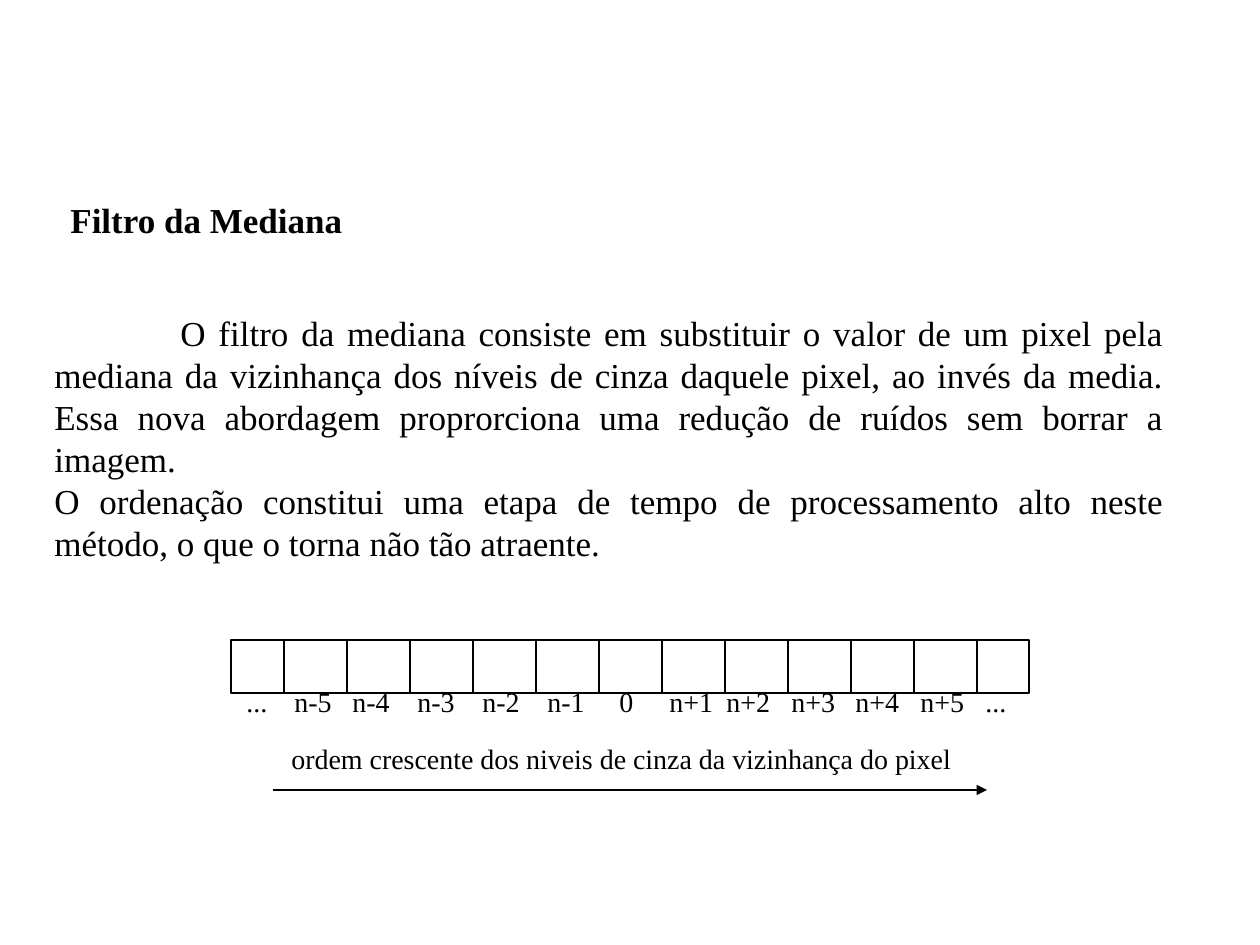
from lxml import etree
from pptx import Presentation
from pptx import util as u
from pptx.dml.color import RGBColor
from pptx.enum import shapes, text
from pptx.oxml.ns import qn

PX = 914400 / 126  # EMU in one px
FONT = "Times New Roman"
INK = "000000"


def px(length):
    return u.Emu(round(length * PX))


def color(value):
    return RGBColor.from_string(value)


class Painter:
    """Holds the style and the current page."""

    def __init__(self, page):
        self.page = page

    def text(self, left, top, width, height, lines, size, bold=False,
             wrap=True, align=text.PP_ALIGN.LEFT):
        box = self.page.shapes.add_textbox(px(left), px(top), px(width), px(height))
        frame = box.text_frame
        frame.word_wrap = wrap
        frame.text = "\n".join(lines)
        for para in frame.paragraphs:
            para.alignment = align
            for span in para.runs:
                span.font.name = FONT
                span.font.size = u.Pt(size)
                span.font.bold = bold
                span.font.color.rgb = color(INK)
        return frame.paragraphs

    def indent(self, para, width):
        para._p.get_or_add_pPr().set("indent", str(px(width)))

    def tabs(self, para, stops):
        tab_list = etree.SubElement(para._p.get_or_add_pPr(), qn("a:tabLst"))
        for stop in stops:
            etree.SubElement(tab_list, qn("a:tab"), pos=str(px(stop)), algn="l")

    def outline(self, shape):
        shape.line.color.rgb = color(INK)
        shape.line.width = u.Pt(0.75)

    def frame(self, parent, left, top, width, height):
        box = parent.add_shape(shapes.MSO_SHAPE.RECTANGLE,
                               px(left), px(top), px(width), px(height))
        box.shadow.inherit = False
        box.fill.background()
        self.outline(box)

    def line(self, parent, x1, y1, x2, y2, arrow=False):
        line = parent.add_connector(shapes.MSO_CONNECTOR.STRAIGHT,
                                    px(x1), px(y1), px(x2), px(y2))
        self.outline(line)
        if arrow:
            etree.SubElement(line.line._get_or_add_ln(), qn("a:tailEnd"), type="triangle")
        etree.SubElement(line._element.spPr, qn("a:effectLst"))


def main():
    deck = Presentation()
    deck.slide_width, deck.slide_height = u.Inches(10), u.Inches(7.5)
    page = deck.slides.add_slide(deck.slide_layouts[6])
    painter = Painter(page)

    # Heading and explanation
    painter.text(58, 192, 297, 55, ["Filtro da Mediana"], 20, bold=True, wrap=False)
    body = painter.text(42, 305, 1134, 265, [
        "O filtro da mediana consiste em substituir o valor de um pixel pela mediana "
        "da vizinhança dos níveis de cinza daquele pixel, ao invés da media. Essa nova "
        "abordagem proprorciona uma redução de ruídos sem borrar a imagem.",
        "O ordenação constitui uma etapa de tempo de processamento alto neste método, "
        "o que o torna não tão atraente.",
    ], 20, align=text.PP_ALIGN.JUSTIFY)
    painter.indent(body[0], 126)

    # Labels under the cells
    labels = ["...", "n-5", "n-4", "n-3", "n-2", "n-1", "0",
              "n+1", "n+2", "n+3", "n+4", "n+5", "..."]
    stops = [48, 106, 171, 236, 301, 373, 423, 480, 545, 609, 674, 739]
    row = painter.text(234, 678, 785, 47, ["\t".join(labels)], 16)
    painter.tabs(row[0], stops)

    # Row of cells: the two end cells are narrower
    left, top, width, height = 231, 640, 798, 53
    end_cell, cell = 53, 63
    cells = page.shapes.add_group_shape().shapes
    painter.frame(cells, left, top, width, height)
    for index in range(len(labels) - 1):
        x = left + end_cell + index * cell
        painter.line(cells, x, top, x, top + height)

    # Direction of the ordering
    painter.line(page.shapes, 273, 790, 987, 790, arrow=True)
    painter.text(279, 735, 686, 47,
                 ["ordem crescente dos niveis de cinza da vizinhança do pixel"],
                 16, wrap=False)

    deck.save("out.pptx")


if __name__ == "__main__":
    main()
